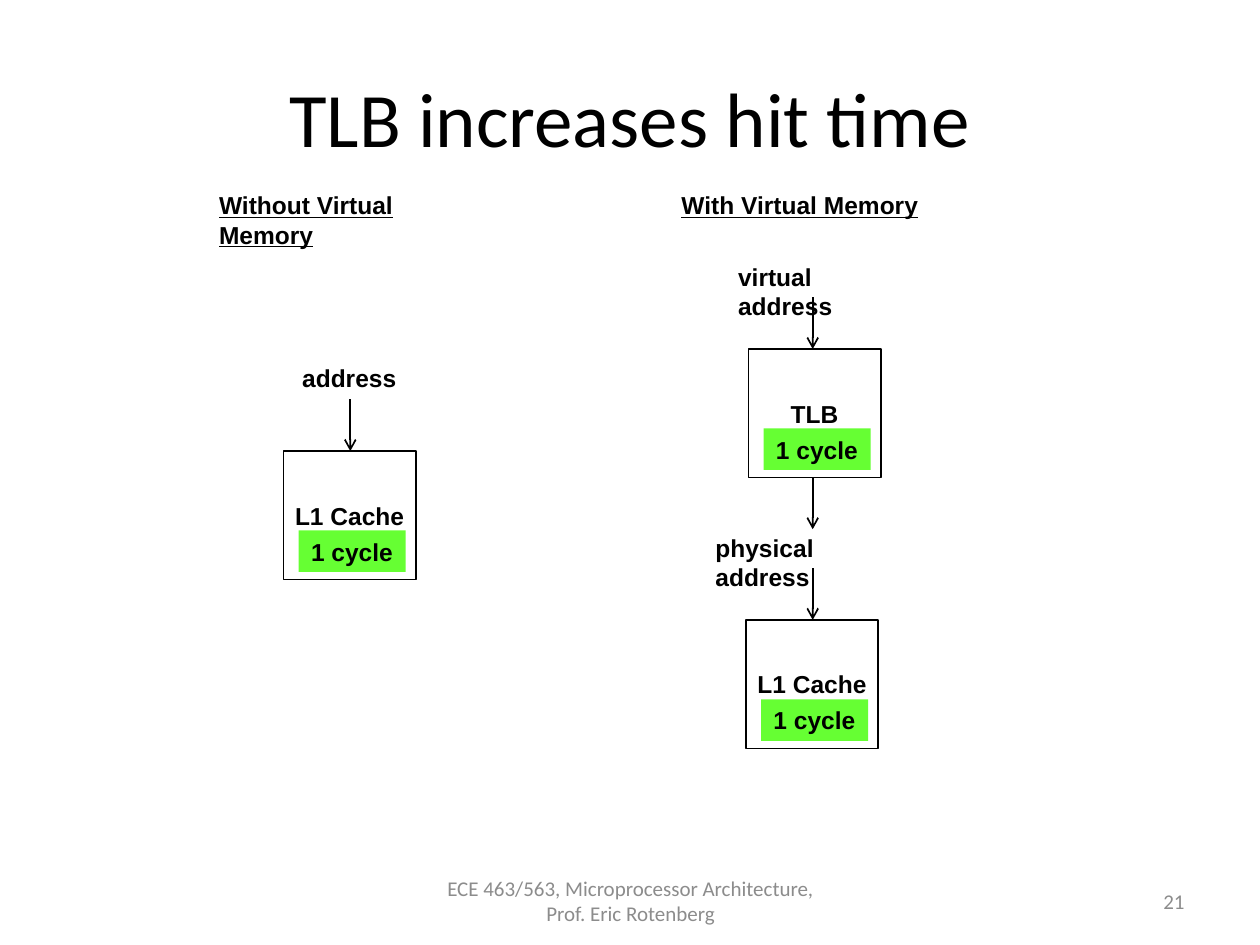
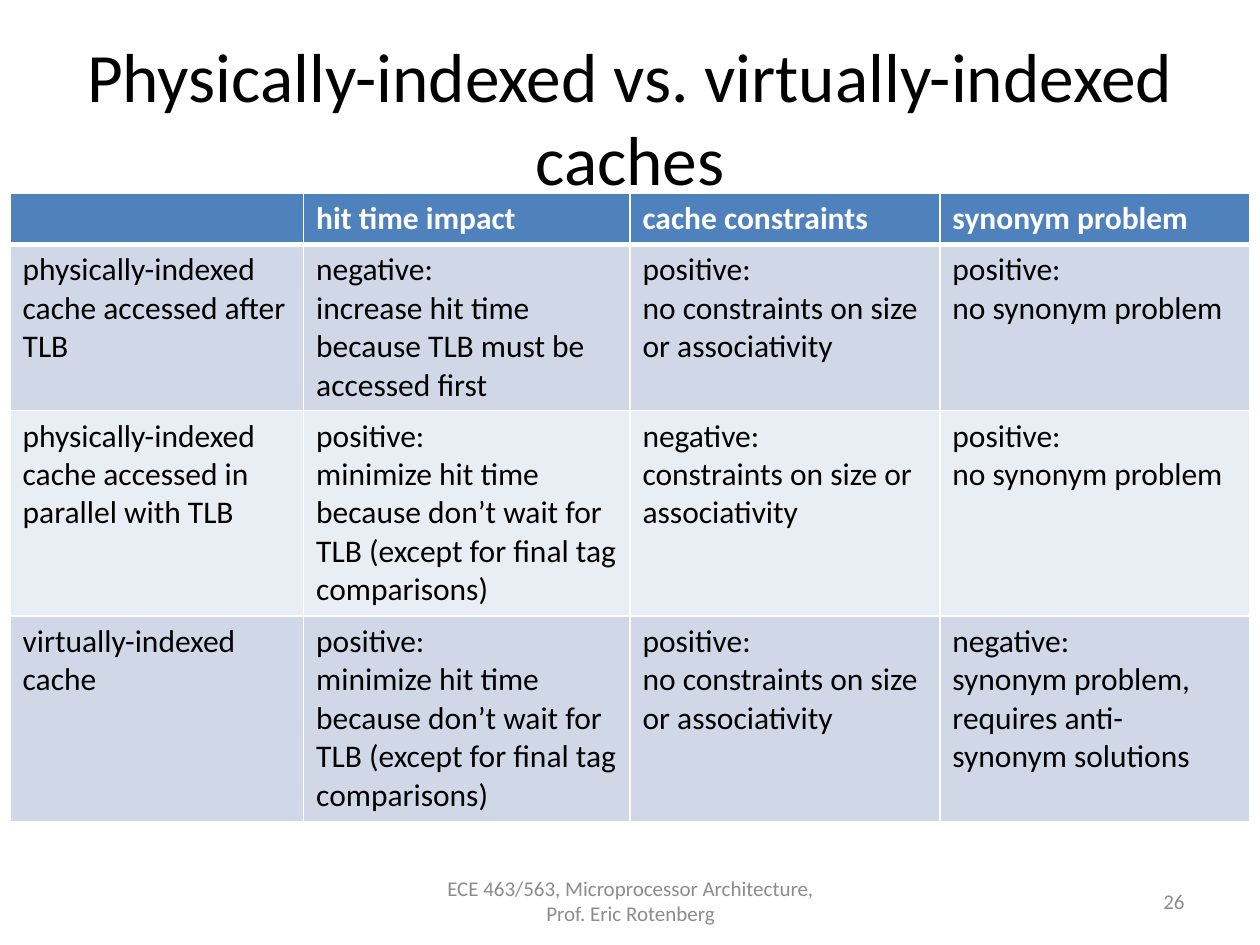
from dataclasses import dataclass

from lxml import etree
from pptx import Presentation
from pptx.dml.color import RGBColor
from pptx.enum.shapes import MSO_CONNECTOR, MSO_SHAPE
from pptx.enum.text import MSO_ANCHOR, MSO_AUTO_SIZE, PP_ALIGN
from pptx.oxml.ns import qn
from pptx.slide import Slide
from pptx.table import _Cell
from pptx.text.text import TextFrame
from pptx.util import Pt

LEFT, CENTER, RIGHT = PP_ALIGN.LEFT, PP_ALIGN.CENTER, PP_ALIGN.RIGHT
TOP, MIDDLE = MSO_ANCHOR.TOP, MSO_ANCHOR.MIDDLE
FIXED_SIZE = MSO_AUTO_SIZE.NONE
RECTANGLE, STRAIGHT = MSO_SHAPE.RECTANGLE, MSO_CONNECTOR.STRAIGHT

EMU_PER_PX = 9144  # 100 px to the inch
PAGE_WIDTH, PAGE_HEIGHT = 1000, 750
TITLE_ONLY = 5


@dataclass(frozen=True)
class Theme:
    """Colours, fonts and type sizes of the deck."""
    ink: str = "000000"
    paper: str = "FFFFFF"
    muted: str = "8C8C8C"
    badge: str = "66FF33"
    header: str = "4F81BD"
    bands: tuple[str, str] = ("D0D8E8", "E9EDF4")
    body_font: str = "Calibri"
    diagram_font: str = "Arial"
    title_size: float = 44
    long_title_size: float = 39.6
    table_size: float = 18
    diagram_size: float = 14
    footer_size: float = 12
    line_width: float = 1
    header_rule: float = 3


THEME = Theme()


@dataclass(frozen=True)
class TextStyle:
    font: str
    size: float
    color: str = THEME.ink
    bold: bool = False
    underline: bool = False


@dataclass(frozen=True)
class Box:
    left: int
    top: int
    width: int
    height: int


@dataclass(frozen=True)
class Label:
    text: str
    box: Box
    heading: bool = False


@dataclass(frozen=True)
class Stage:
    """A hardware block with its latency badge."""
    name: str
    left: int
    top: int


@dataclass(frozen=True)
class Arrow:
    """A downward arrow."""
    x: int
    top: int


LABEL_STYLE = TextStyle(THEME.diagram_font, THEME.diagram_size, bold=True)
HEADING_STYLE = TextStyle(THEME.diagram_font, THEME.diagram_size, bold=True, underline=True)
FOOTER_STYLE = TextStyle(THEME.body_font, THEME.footer_size, THEME.muted)
CELL_STYLE = TextStyle(THEME.body_font, THEME.table_size)
HEADER_STYLE = TextStyle(THEME.body_font, THEME.table_size, THEME.paper, bold=True)

TITLE_BOX = Box(50, 30, 900, 125)
FOOTER_BOX = Box(342, 695, 317, 40)
NUMBER_BOX = Box(717, 695, 233, 40)
FOOTER = "ECE 463/563, Microprocessor Architecture, Prof. Eric Rotenberg"

# Hit time diagram
STAGE_WIDTH, STAGE_HEIGHT = 105, 102
BADGE_WIDTH, BADGE_HEIGHT = 85, 33
BADGE_DX, BADGE_DY = 12, 63
ARROW_LENGTH = 41
LATENCY = "1 cycle"
LABELS = [
    Label("Without Virtual Memory", Box(164, 146, 210, 33), heading=True),
    Label("address", Box(230, 283, 104, 33)),
    Label("With Virtual Memory", Box(531, 146, 218, 33), heading=True),
    Label("virtual address", Box(576, 203, 130, 33)),
    Label("physical address", Box(558, 418, 140, 33)),
]
STAGES = [Stage("L1 Cache", 225, 358), Stage("TLB", 594, 277), Stage("L1 Cache", 592, 492)]
ARROWS = [Arrow(278, 317), Arrow(645, 236), Arrow(645, 379), Arrow(645, 451)]

# Cache comparison table; each line of a cell is a paragraph
TABLE_LEFT, TABLE_TOP = 8, 153
COLUMN_WIDTHS = [233, 259, 246, 246]
ROW_HEIGHTS = [41, 132, 163, 163]
NO_CONSTRAINTS = "positive:\nno constraints on size or associativity"
NO_SYNONYM = "positive:\nno synonym problem"
MINIMIZED = ("positive:\nminimize hit time because don’t wait for TLB "
             "(except for final tag comparisons)")
COMPARISON = [
    ["", "hit time impact", "cache constraints", "synonym problem"],
    ["physically-indexed cache accessed after TLB",
     "negative:\nincrease hit time because TLB must be accessed first",
     NO_CONSTRAINTS, NO_SYNONYM],
    ["physically-indexed cache accessed in parallel with TLB", MINIMIZED,
     "negative:\nconstraints on size or associativity", NO_SYNONYM],
    ["virtually-indexed cache", MINIMIZED, NO_CONSTRAINTS,
     "negative:\nsynonym problem, requires anti-synonym solutions"],
]


def px(length: int) -> int:
    return length * EMU_PER_PX


def place(box: Box) -> tuple[int, int, int, int]:
    return px(box.left), px(box.top), px(box.width), px(box.height)


def rgb(color: str) -> RGBColor:
    return RGBColor.from_string(color)


def write(frame: TextFrame, text: str, style: TextStyle, align: PP_ALIGN = LEFT) -> None:
    """Write one paragraph for each line of text."""
    for index, line in enumerate(text.split("\n")):
        para = frame.add_paragraph() if index else frame.paragraphs[0]
        para.alignment = align
        span = para.add_run()
        span.text = line
        span.font.name = style.font
        span.font.size = Pt(style.size)
        span.font.bold = style.bold
        span.font.underline = style.underline
        span.font.color.rgb = rgb(style.color)


def add_text(page: Slide, box: Box, text: str, style: TextStyle, align: PP_ALIGN = LEFT,
             anchor: MSO_ANCHOR = TOP) -> None:
    frame = page.shapes.add_textbox(*place(box)).text_frame
    frame.word_wrap = True
    frame.vertical_anchor = anchor
    write(frame, text, style, align)


def add_block(page: Slide, box: Box, text: str, fill: str, outlined: bool,
              align: PP_ALIGN, anchor: MSO_ANCHOR) -> None:
    block = page.shapes.add_shape(RECTANGLE, *place(box))
    block.shadow.inherit = False
    block.fill.solid()
    block.fill.fore_color.rgb = rgb(fill)
    if outlined:
        block.line.color.rgb = rgb(THEME.ink)
        block.line.width = Pt(THEME.line_width)
    else:
        block.line.fill.background()
    frame = block.text_frame
    frame.word_wrap = False
    frame.vertical_anchor = anchor
    write(frame, text, LABEL_STYLE, align)


def add_stage(page: Slide, stage: Stage) -> None:
    body = Box(stage.left, stage.top, STAGE_WIDTH, STAGE_HEIGHT)
    badge = Box(stage.left + BADGE_DX, stage.top + BADGE_DY, BADGE_WIDTH, BADGE_HEIGHT)
    add_block(page, body, stage.name, THEME.paper, True, CENTER, MIDDLE)
    add_block(page, badge, LATENCY, THEME.badge, False, LEFT, TOP)


def add_arrow(page: Slide, arrow: Arrow) -> None:
    x, top, bottom = px(arrow.x), px(arrow.top), px(arrow.top + ARROW_LENGTH)
    connector = page.shapes.add_connector(STRAIGHT, x, top, x, bottom)
    connector.line.color.rgb = rgb(THEME.ink)
    connector.line.width = Pt(THEME.line_width)
    properties = connector._element.spPr
    etree.SubElement(properties.find(qn("a:ln")), qn("a:tailEnd"), type="arrow")
    etree.SubElement(properties, qn("a:effectLst"))


def add_borders(cell: _Cell, top_width: float, bottom_width: float) -> None:
    """Draw white cell borders; call this before filling the cell."""
    properties = cell._tc.get_or_add_tcPr()
    side_width = THEME.line_width
    widths = {"lnL": side_width, "lnR": side_width, "lnT": top_width, "lnB": bottom_width}
    for side, width in widths.items():
        line = etree.SubElement(properties, qn(f"a:{side}"), w=str(Pt(width)))
        fill = etree.SubElement(line, qn("a:solidFill"))
        etree.SubElement(fill, qn("a:srgbClr"), val=THEME.paper)


def add_comparison(page: Slide) -> None:
    box = Box(TABLE_LEFT, TABLE_TOP, sum(COLUMN_WIDTHS), sum(ROW_HEIGHTS))
    table = page.shapes.add_table(len(ROW_HEIGHTS), len(COLUMN_WIDTHS), *place(box)).table
    table.first_row = table.horz_banding = False
    for column, width in zip(table.columns, COLUMN_WIDTHS):
        column.width = px(width)
    for index, (row, height, texts) in enumerate(zip(table.rows, ROW_HEIGHTS, COMPARISON)):
        row.height = px(height)
        is_header = index == 0
        top_width = THEME.header_rule if index == 1 else THEME.line_width
        bottom_width = THEME.header_rule if is_header else THEME.line_width
        color = THEME.header if is_header else THEME.bands[(index - 1) % 2]
        for cell, text in zip(row.cells, texts):
            add_borders(cell, top_width, bottom_width)
            cell.fill.solid()
            cell.fill.fore_color.rgb = rgb(color)
            if text:
                write(cell.text_frame, text, HEADER_STYLE if is_header else CELL_STYLE)


def add_page(deck: Presentation, title: str, size: float, number: int) -> Slide:
    """Add a page with the shared title, footer and page number."""
    page = deck.slides.add_slide(deck.slide_layouts[TITLE_ONLY])
    heading = page.shapes.title
    heading.left, heading.top, heading.width, heading.height = place(TITLE_BOX)
    frame = heading.text_frame
    frame.auto_size = FIXED_SIZE
    frame.word_wrap = True
    frame.vertical_anchor = MIDDLE
    write(frame, title, TextStyle(THEME.body_font, size), CENTER)
    add_text(page, FOOTER_BOX, FOOTER, FOOTER_STYLE, CENTER, MIDDLE)
    add_text(page, NUMBER_BOX, str(number), FOOTER_STYLE, RIGHT, MIDDLE)
    return page


def build_hit_time(deck: Presentation) -> None:
    page = add_page(deck, "TLB increases hit time", THEME.title_size, 21)
    for stage in STAGES:
        add_stage(page, stage)
    for label in LABELS:
        add_text(page, label.box, label.text, HEADING_STYLE if label.heading else LABEL_STYLE)
    for arrow in ARROWS:
        add_arrow(page, arrow)


def build_cache_comparison(deck: Presentation) -> None:
    title = "Physically-indexed vs. virtually-indexed caches"
    page = add_page(deck, title, THEME.long_title_size, 26)
    add_comparison(page)


def main() -> None:
    deck = Presentation()
    deck.slide_width, deck.slide_height = px(PAGE_WIDTH), px(PAGE_HEIGHT)
    build_hit_time(deck)
    build_cache_comparison(deck)
    deck.save("out.pptx")


if __name__ == "__main__":
    main()
